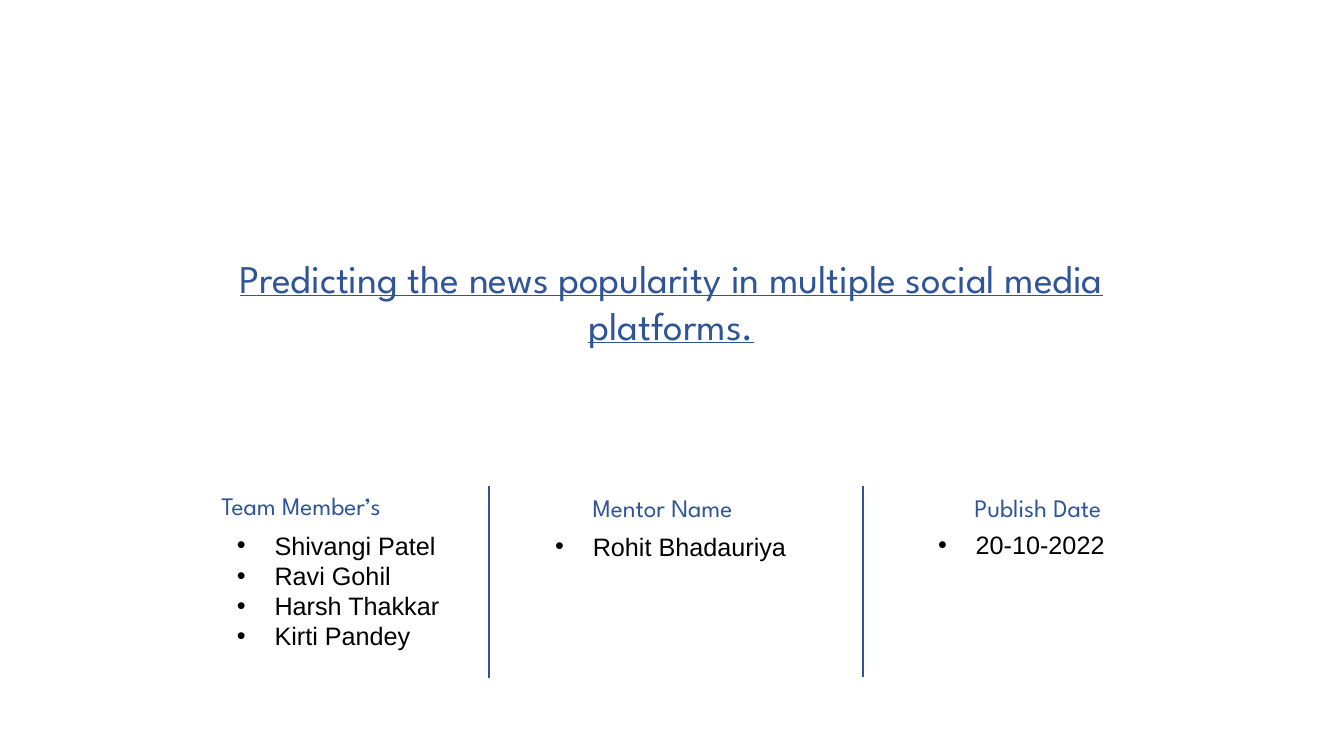
"""Build the opening slide of a project on news popularity."""
from dataclasses import dataclass

from lxml import etree
from pptx import Presentation
from pptx.dml.color import RGBColor
from pptx.enum import shapes, text
from pptx.oxml.ns import qn
from pptx.util import Cm, Pt

TITLE = "Predicting the news popularity in multiple social media platforms."
LEFT, MID = text.PP_ALIGN.LEFT, text.PP_ALIGN.CENTER

# heading, alignment, (left, top), items, (left, top, width), (line, after)
COLUMNS = [
    ("Team Member’s", LEFT, (5.33, 12.24),
     ["Shivangi Patel", "Ravi Gohil", "Harsh Thakkar", "Kirti Pandey"],
     (5.72, 13.23, 6.35), (1, 0)),
    ("Mentor Name ", MID, (13.28, 12.27),
     ["Rohit Bhadauriya"], (13.74, 13.26, 6.35), (1, 0)),
    ("Publish Date", MID, (22.66, 12.27),
     ["20-10-2022"], (23.39, 13.16, 5.13), (1.07, 8)),
]
RULES = [(12.32, 17.09), (21.74, 17.07)]


@dataclass(frozen=True)
class Theme:
    """Colours, fonts and sizes."""
    blue: RGBColor = RGBColor(0x2F, 0x55, 0x97)
    black: RGBColor = RGBColor(0, 0, 0)
    head: str = "League Spartan"
    body: str = "Arial"
    big: int = 28
    small: int = 18
    rule: float = 1.5
    row: float = 0.77
    pad: float = 0.25
    indent: float = 0.95


LOOK = Theme()


def write(frame, lines, face, size, color, align=LEFT, space=(1, 0)):
    """Fill a text frame with evenly styled paragraphs."""
    frame.word_wrap = True
    frame.auto_size = text.MSO_AUTO_SIZE.NONE
    frame.vertical_anchor = text.MSO_ANCHOR.TOP
    frame.text = "\n".join(lines)
    for para in frame.paragraphs:
        para.alignment = align
        para.line_spacing = space[0]
        para.space_after = Pt(space[1])
        para.font.name = face
        para.font.size = Pt(size)
        para.font.color.rgb = color


def bullet(para):
    """Give a paragraph a hanging round bullet."""
    props = para._p.get_or_add_pPr()
    props.set("marL", str(Cm(LOOK.indent)))
    props.set("indent", str(-Cm(LOOK.indent)))
    font = etree.Element(qn("a:buFont"), typeface=LOOK.body)
    mark = etree.Element(qn("a:buChar"), char="•")
    spot = props.find(qn("a:defRPr"))
    for part in (font, mark):
        spot.addprevious(part)


def box(slide, left, top, width, rows):
    """Add a text box tall enough for the rows and return its frame."""
    high = rows * LOOK.row + LOOK.pad
    return slide.shapes.add_textbox(
        Cm(left), Cm(top), Cm(width), Cm(high)).text_frame


def rule(slide, x, end):
    """Draw an upright divider."""
    line = slide.shapes.add_connector(
        shapes.MSO_CONNECTOR.STRAIGHT, Cm(x), Cm(12.24), Cm(x), Cm(end))
    line.line.color.rgb = LOOK.blue
    line.line.width = Pt(LOOK.rule)
    etree.SubElement(line._element.spPr, qn("a:effectLst"))


def main():
    """Compose and save the slide."""
    deck = Presentation()
    deck.slide_width, deck.slide_height = Cm(33.87), Cm(19.05)
    slide = deck.slides.add_slide(deck.slide_layouts[5])

    title = slide.shapes.title
    title.left, title.top = Cm(4.09), Cm(6.27)
    title.width, title.height = Cm(25.65), Cm(2.64)
    write(title.text_frame, [TITLE], LOOK.head, LOOK.big, LOOK.blue, MID)
    title.text_frame.paragraphs[0].font.underline = True

    for x, end in RULES:
        rule(slide, x, end)

    for head, align, spot, items, area, space in COLUMNS:
        write(box(slide, *spot, 6.99, 1), [head],
              LOOK.head, LOOK.small, LOOK.blue, align)
        frame = box(slide, *area, len(items))
        write(frame, items, LOOK.body, LOOK.small, LOOK.black, LEFT, space)
        for para in frame.paragraphs:
            bullet(para)

    deck.save("out.pptx")


if __name__ == "__main__":
    main()
